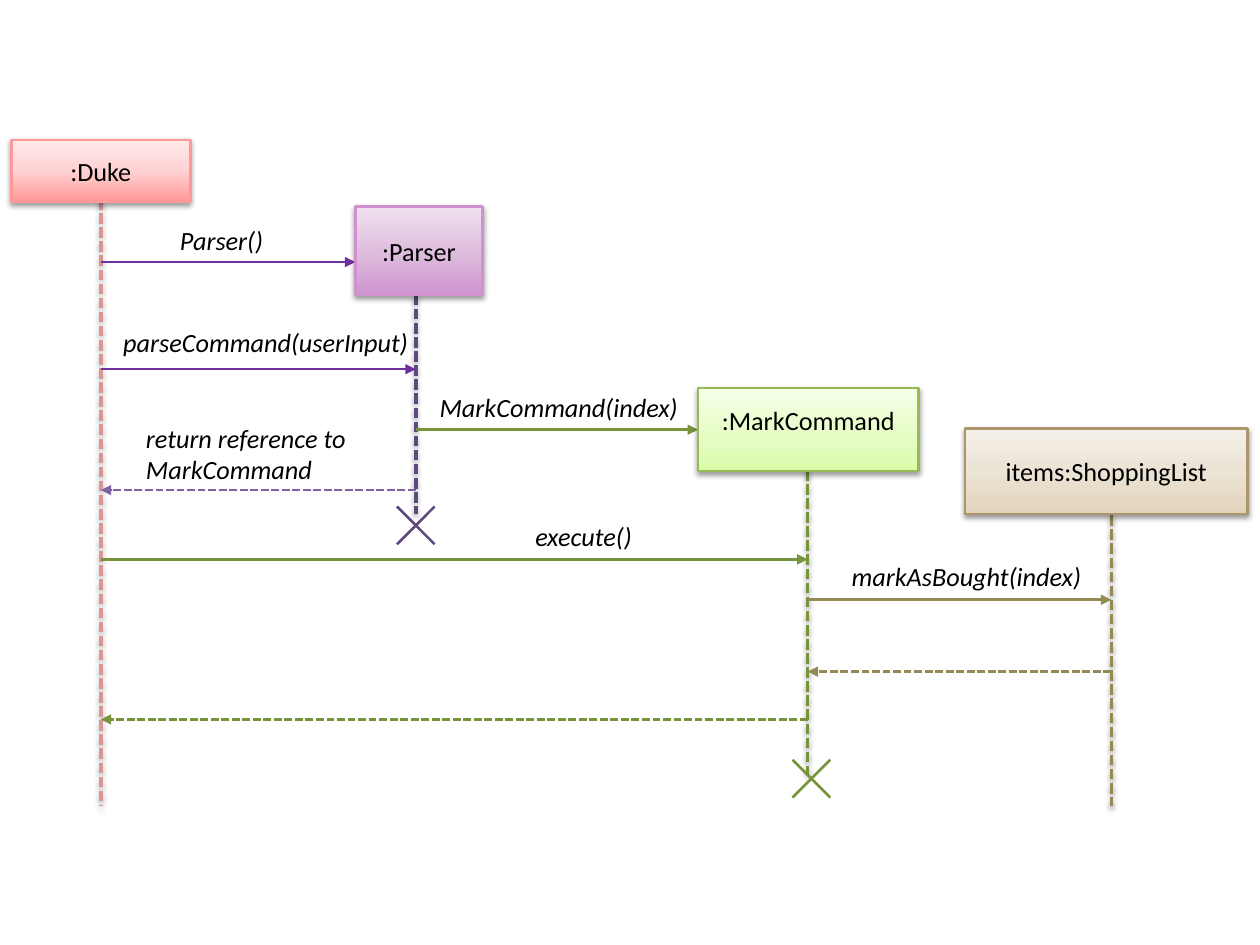
"""Build a sequence diagram of a mark command on one slide."""
from lxml import etree
from pptx import Presentation
from pptx.dml.color import RGBColor
from pptx.enum.dml import MSO_LINE
from pptx.enum.shapes import MSO_CONNECTOR, MSO_SHAPE
from pptx.enum.text import MSO_ANCHOR, PP_ALIGN
from pptx.oxml import parse_xml
from pptx.oxml.ns import qn
from pptx.util import Inches, Pt

NS = 'xmlns:a="http://schemas.openxmlformats.org/drawingml/2006/main"'
GREEN, PLUM, PURPLE, TAN = "77933C", "604A7B", "7030A0", "948A54"
DUKE, PARSER, MARK, LIST = 0.8, 3.3, 6.41, 8.82

LIFELINES = [
    (DUKE, 1.58, 6.4, "D99694"),
    (PARSER, 2.34, 4.08, PLUM),
    (MARK, 3.73, 6.15, GREEN),
    (LIST, 4.09, 6.4, TAN),
]
MESSAGES = [
    (DUKE, 2.82, 2.08, PURPLE, False),
    (DUKE, PARSER, 2.93, PURPLE, False),
    (PARSER, 5.54, 3.41, GREEN, False),
    (PARSER, DUKE, 3.89, "8064A2", True),
    (DUKE, MARK, 4.44, GREEN, False),
    (MARK, LIST, 4.76, TAN, False),
    (LIST, MARK, 5.33, TAN, True),
    (MARK, DUKE, 5.71, GREEN, True),
]
LABELS = [
    ("Parser()", 1.33, 1.73, 1.29, 0.35),
    ("parseCommand(userInput)", 0.88, 2.54, 2.73, 0.35),
    ("MarkCommand(index)", 3.39, 3.06, 2.28, 0.35),
    ("return reference to MarkCommand", 1.06, 3.3, 1.87, 0.61),
    ("execute()", 4.15, 4.08, 0.97, 0.35),
    ("markAsBought(index)", 6.66, 4.4, 2.08, 0.35),
]
CROSSES = [(3.3, 4.17, PLUM), (6.44, 6.18, GREEN)]
CROSS_HALF = 0.15
OBJECTS = [
    (":Duke", (0.09, 1.11, 1.42, 0.49), "FF9999", 0.05,
     [(0, "FF9999"), (50, "FFD2D3"), (100, "FFE9E9")]),
    (":Parser", (2.82, 1.64, 1.01, 0.7), "CF92CF", 0.05,
     [(0, "CF95CF"), (50, "DFBFDF"), (100, "EFE0EF")]),
    (":MarkCommand", (5.54, 3.08, 1.75, 0.66), "98B955", 0.2,
     [(0, "DAFDA7"), (35, "E4FCC2"), (100, "F5FFE7")]),
    ("items:ShoppingList", (7.66, 3.4, 2.24, 0.68), "AB966D", 0.05,
     [(0, "E2D4BC"), (50, "EBE3D4"), (100, "F5F1EA")]),
]


def rgb(value):
    return RGBColor.from_string(value)


def set_effects(shape, shadow):
    properties = shape._element.spPr
    for old in properties.findall(qn("a:effectLst")):
        properties.remove(old)
    inner = (
        '<a:outerShdw blurRad="39370" dist="20320" dir="5400000" rotWithShape="0">'
        '<a:srgbClr val="000000"><a:alpha val="38000"/></a:srgbClr></a:outerShdw>'
    ) if shadow else ""
    properties.append(parse_xml(f"<a:effectLst {NS}>{inner}</a:effectLst>"))


def add_line(start, end, color, width=1.5, dashed=False, arrow=False, shadow=False):
    points = [Inches(v) for v in (*start, *end)]
    connector = slide.shapes.add_connector(MSO_CONNECTOR.STRAIGHT, *points)
    line = connector.line
    line.color.rgb = rgb(color)
    line.width = Pt(width)
    if dashed:
        line.dash_style = MSO_LINE.SQUARE_DOT
    if arrow:
        etree.SubElement(line._get_or_add_ln(), qn("a:tailEnd"), type="triangle")
    set_effects(connector, shadow)


def write(frame, text, italic=False):
    frame.word_wrap = True
    run = frame.paragraphs[0].add_run()
    run.text = text
    run.font.name = "Calibri"
    run.font.size = Pt(15)
    run.font.italic = italic
    run.font.color.rgb = rgb("000000")


def add_object(name, place, outline, bottom, stops):
    box = slide.shapes.add_shape(MSO_SHAPE.RECTANGLE, *map(Inches, place))
    box.line.color.rgb = rgb(outline)
    box.line.width = Pt(1.5)
    stop_xml = "".join(
        f'<a:gs pos="{position * 1000}"><a:srgbClr val="{color}"/></a:gs>'
        for position, color in stops
    )
    box._element.spPr.find(qn("a:prstGeom")).addnext(parse_xml(
        f'<a:gradFill {NS} rotWithShape="1"><a:gsLst>{stop_xml}</a:gsLst>'
        '<a:lin ang="16200000" scaled="0"/></a:gradFill>'
    ))
    set_effects(box, True)
    frame = box.text_frame
    frame.vertical_anchor = MSO_ANCHOR.MIDDLE
    frame.margin_bottom = Inches(bottom)
    write(frame, name)
    frame.paragraphs[0].alignment = PP_ALIGN.CENTER


prs = Presentation()
prs.slide_width, prs.slide_height = Inches(10), Inches(7.5)
slide = prs.slides.add_slide(prs.slide_layouts[6])

for x, top, bottom, color in LIFELINES:
    add_line((x, top), (x, bottom), color, width=2, dashed=True, shadow=True)
for start, end, y, color, is_return in MESSAGES:
    add_line((start, y), (end, y), color, dashed=is_return, arrow=True)
for x, y, color in CROSSES:
    for rise in (-CROSS_HALF, CROSS_HALF):
        add_line((x - CROSS_HALF, y - rise), (x + CROSS_HALF, y + rise), color)
for text, *place in LABELS:
    write(slide.shapes.add_textbox(*map(Inches, place)).text_frame, text, italic=True)
for item in OBJECTS:
    add_object(*item)

prs.save("out.pptx")
